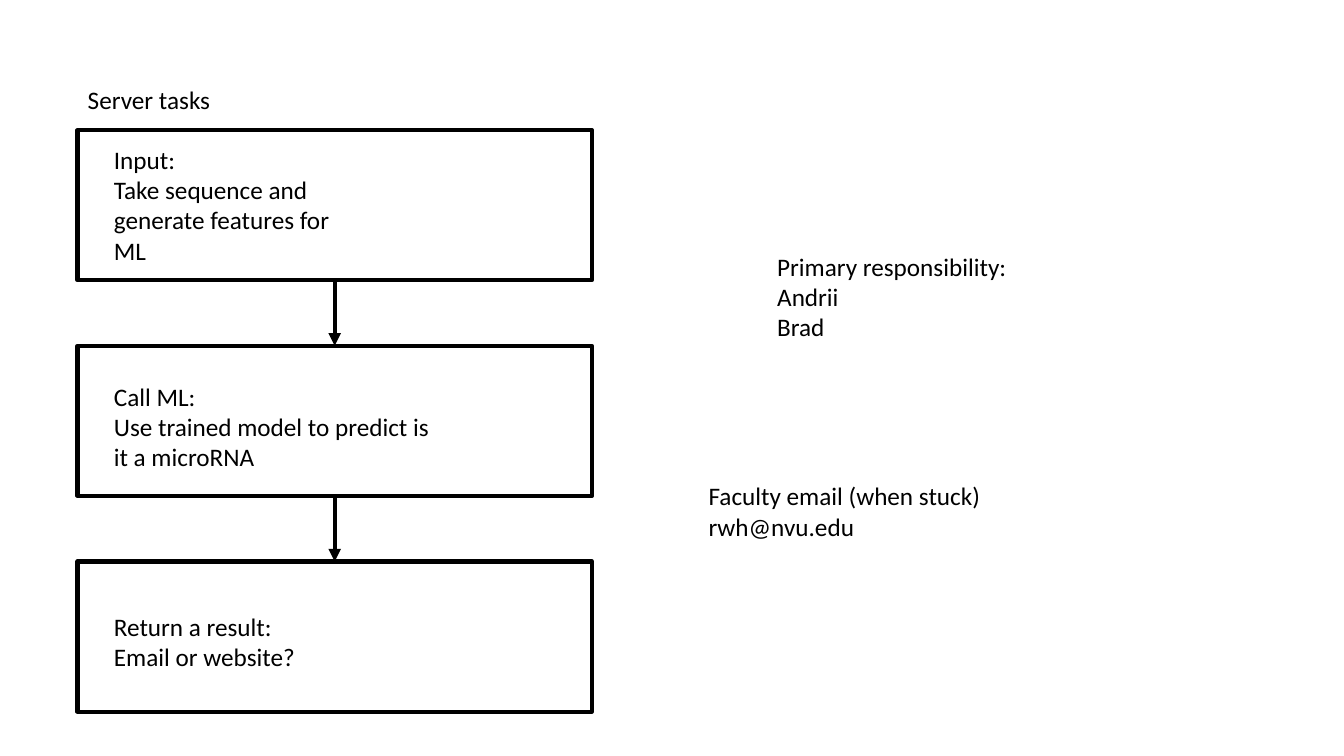
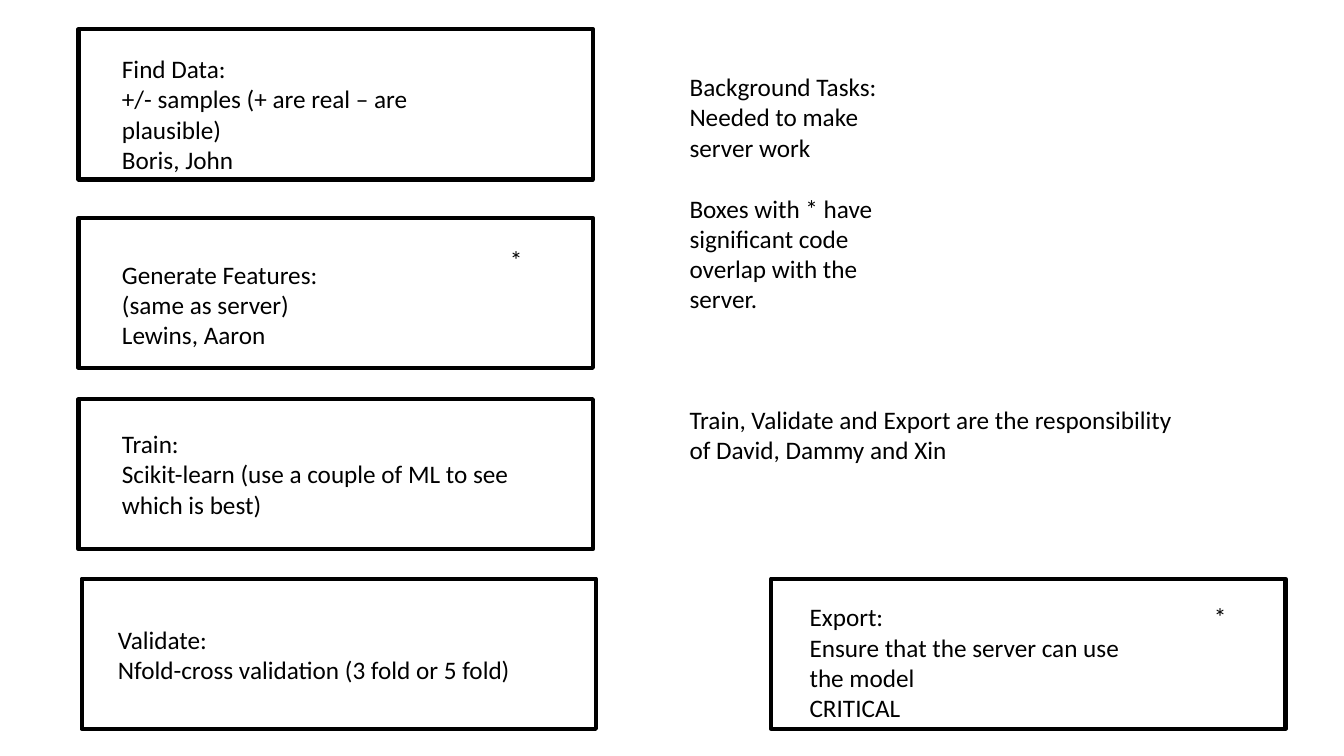
from pptx import Presentation
from pptx import util as u
from pptx.dml.color import RGBColor
from pptx.enum import shapes, text
from pptx.oxml.ns import qn
from lxml import etree

COLORS = {"ink": "000000", "paper": "FFFFFF"}
FONT, SIZE = "Calibri", 18
LINE_PT = 3
BOX_W, BOX_H = 5.1, 1.49
PAD_X, PAD_Y = 0.1, 0.05
TITLE_ONLY = 5
PARAGRAPH_GAP = 22

# Slide 1: one column of boxes at an equal pitch
SERVER_LEFT, SERVER_TOP, SERVER_PITCH = 0.77, 1.29, 2.14
# Slide 2: four rows on the left, the last one shared with the right column
TASK_ROWS = (0.29, 2.16, 3.96, 5.74)
NOTES_LEFT, EXPORT_LEFT = 6.74, 7.65


def rgb(name):
    return RGBColor.from_string(COLORS[name])


def write(sp, lines, left=PAD_X, top=PAD_Y, right=PAD_X, gap=0):
    """Fill a shape with left-aligned paragraphs, inset in inches; gap in points."""
    tf = sp.text_frame
    tf.word_wrap = True
    tf.auto_size = text.MSO_AUTO_SIZE.NONE
    tf.vertical_anchor = text.MSO_ANCHOR.TOP
    tf.margin_left, tf.margin_right = u.Inches(left), u.Inches(right)
    tf.margin_top, tf.margin_bottom = u.Inches(top), 0
    for i, line in enumerate(lines):
        p = tf.paragraphs[0] if i == 0 else tf.add_paragraph()
        p.alignment = text.PP_ALIGN.LEFT
        p.space_before = u.Pt(gap if i else 0)
        r = p.add_run()
        r.text = line
        r.font.name, r.font.size = FONT, u.Pt(SIZE)
        r.font.color.rgb = rgb("ink")


def add_title(slide, title, left, top, width):
    sp = slide.shapes.title
    sp.left, sp.top = u.Inches(left), u.Inches(top)
    sp.width, sp.height = u.Inches(width), u.Inches(0.4)
    write(sp, [title])


def add_note(slide, lines, left, top, width, height=0.4, **fmt):
    sp = slide.shapes.add_textbox(*map(u.Inches, (left, top, width, height)))
    write(sp, lines, **fmt)


def add_box(slide, lines, left, top, inset, text_width):
    """Outlined box; inset is the (x, y) offset of its text, wrapped at text_width."""
    sp = slide.shapes.add_shape(
        shapes.MSO_SHAPE.RECTANGLE,
        *map(u.Inches, (left, top, BOX_W, BOX_H)))
    sp.shadow.inherit = False
    sp.fill.background()
    sp.line.color.rgb = rgb("ink")
    sp.line.width = u.Pt(LINE_PT)
    x, y = inset
    write(sp, lines, left=x, top=y, right=BOX_W - x - text_width)
    return sp


def add_arrow(slide, upper, lower):
    line = slide.shapes.add_connector(shapes.MSO_CONNECTOR.STRAIGHT, 0, 0, 0, 0)
    line.begin_connect(upper, 2)
    line.end_connect(lower, 0)
    line.line.color.rgb = rgb("ink")
    line.line.width = u.Pt(LINE_PT)
    etree.SubElement(line.line._get_or_add_ln(), qn("a:tailEnd"), type="triangle")
    etree.SubElement(line._element.spPr, qn("a:effectLst"))


def new_slide(prs):
    slide = prs.slides.add_slide(prs.slide_layouts[TITLE_ONLY])
    fill = slide.background.fill
    fill.solid()
    fill.fore_color.rgb = rgb("paper")
    return slide


def build_server_tasks(prs):
    slide = new_slide(prs)
    add_title(slide, "Server tasks", SERVER_LEFT, 0.79, 6.08)
    steps = [
        (["Input:", "Take sequence and generate features for ML"], 0.14, 2.39),
        (["Call ML:", "Use trained model to predict is it a microRNA"], 0.35, 3.15),
        (["Return a result:", "Email or website?"], 0.49, 3.12),
    ]
    boxes = [
        add_box(slide, lines, SERVER_LEFT, SERVER_TOP + i * SERVER_PITCH,
                (0.36, y), width)
        for i, (lines, y, width) in enumerate(steps)
    ]
    for upper, lower in zip(boxes, boxes[1:]):
        add_arrow(slide, upper, lower)
    add_note(slide, ["Primary responsibility:", "Andrii", "Brad"],
             7.61, 2.44, 4.38, 1.01)
    add_note(slide, ["Faculty email (when stuck)", "rwh@nvu.edu"],
             6.93, 4.72, 3.86, 0.71)


def build_background_tasks(prs):
    slide = new_slide(prs)
    add_title(slide, "Background Tasks:", NOTES_LEFT, 0.66, 2.12)
    add_note(slide, ["Needed to make server work",
                     "Boxes with * have significant code overlap with the server."],
             NOTES_LEFT, 0.96, 2.12, 2.22, gap=PARAGRAPH_GAP)
    add_note(slide, ["Train, Validate and Export are the responsibility "
                     "of David, Dammy and Xin"],
             NOTES_LEFT, TASK_ROWS[2], 5.08, 0.71)
    tasks = [
        (["Find Data:", "+/- samples (+ are real – are plausible)",
          "Boris, John"], 0.78, 0, (0.43, 0.24), 3.84),
        (["Generate Features:", "(same as server)", "Lewins, Aaron"],
         0.78, 1, (0.43, 0.41), 3.11),
        (["Train:", "Scikit-learn (use a couple of ML to see which is best)"],
         0.78, 2, (0.43, 0.29), 3.84),
        (["Validate:", "Nfold-cross validation (3 fold or 5 fold)"],
         0.81, 3, (0.36, 0.45), 4.32),
        (["Export:", "Ensure that the server can use the model", "CRITICAL"],
         EXPORT_LEFT, 3, (0.38, 0.23), 3.11),
    ]
    for lines, left, row, inset, width in tasks:
        add_box(slide, lines, left, TASK_ROWS[row], inset, width)
    for left, top in ((4.96, 2.37), (11.94, 5.92)):
        add_note(slide, ["*"], left, top, 0.54)


def main():
    prs = Presentation()
    prs.slide_width, prs.slide_height = u.Inches(13.33), u.Inches(7.5)
    build_server_tasks(prs)
    build_background_tasks(prs)
    prs.save("out.pptx")


if __name__ == "__main__":
    main()
